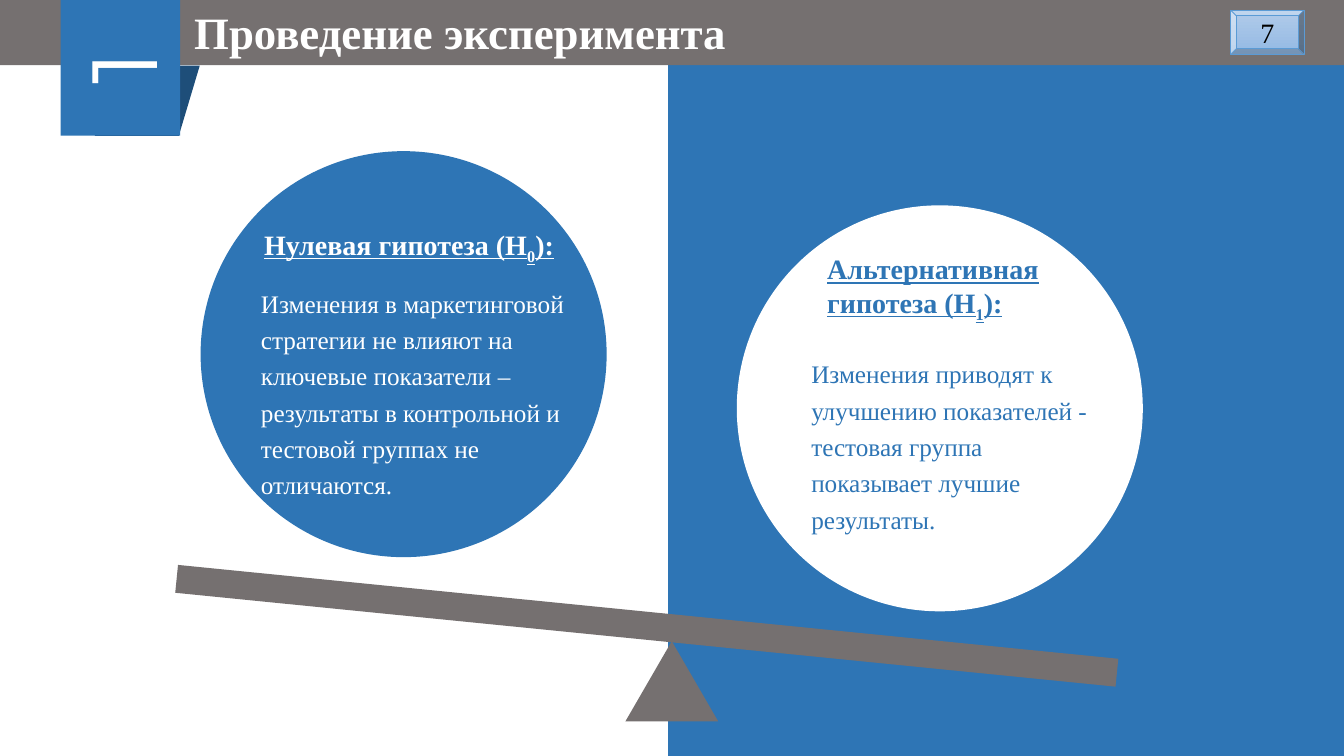
"""Build the slide that weighs the null hypothesis against the alternative one."""
from pptx import Presentation
from pptx.dml.color import RGBColor
from pptx.enum import shapes, text
from pptx.util import Pt

COLORS = {
    "blue": "2E75B5", "navy": "1E4E79", "gray": "757070", "white": "FFFFFF",
    "black": "000000", "light": "B1CBE9", "sky": "93B9E4", "edge": "5B9BD5",
}
SERIF = "Times New Roman"
TILT = 5.7
DIAMETER = 290
KIND = shapes.MSO_SHAPE


def rgb(name):
    return RGBColor.from_string(COLORS[name])


def add_block(s, kind, box, color, rotation=0):
    sp = s.shapes.add_shape(kind, *map(Pt, box))
    sp.shadow.inherit = False
    sp.fill.solid()
    sp.fill.fore_color.rgb = rgb(color)
    sp.line.fill.background()
    sp.rotation = rotation
    return sp


def write(sp, *parts, size, color, font=SERIF, bold=False, underline=False,
          align=text.PP_ALIGN.LEFT, anchor=text.MSO_ANCHOR.TOP, spacing=1.0):
    tf = sp.text_frame
    tf.word_wrap = True
    tf.auto_size = text.MSO_AUTO_SIZE.NONE
    tf.vertical_anchor = anchor
    p = tf.paragraphs[0]
    p.alignment = align
    p.line_spacing = spacing
    for i, part in enumerate(parts):
        r = p.add_run()
        r.text = part
        r.font.name = font
        r.font.size = Pt(size)
        r.font.bold = bold
        r.font.underline = underline
        r.font.color.rgb = rgb(color)
        if i % 2:
            r.font._element.set("baseline", "-25000")


def write_centered(sp, label, **style):
    write(sp, label, align=text.PP_ALIGN.CENTER,
          anchor=text.MSO_ANCHOR.MIDDLE, **style)


def add_text(s, box, *parts, **style):
    write(s.shapes.add_textbox(*map(Pt, box)), *parts, **style)


def add_title(s, box, label):
    sp = s.shapes.title
    sp.left, sp.top, sp.width, sp.height = map(Pt, box)
    write(sp, label, size=32, color="white", bold=True)
    s.shapes.element.append(sp.element)


def add_hypothesis(s, corner, fill, ink, head_box, head, body_box, body):
    add_block(s, KIND.FLOWCHART_CONNECTOR, (*corner, DIAMETER, DIAMETER), fill, TILT)
    add_text(s, body_box, body, size=18, color=ink, spacing=1.2)
    add_text(s, head_box, *head, size=20, color=ink, bold=True, underline=True)


def add_page_button(s, box, number):
    sp = add_block(s, KIND.BEVEL, box, "sky")
    sp.fill.gradient()
    sp.fill.gradient_angle = 270
    for stop, color in zip(sp.fill.gradient_stops, ("light", "sky")):
        stop.color.rgb = rgb(color)
    sp.line.color.rgb = rgb("edge")
    sp.line.width = Pt(0.5)
    write_centered(sp, number, size=20, color="black")


def main():
    prs = Presentation()
    prs.slide_width, prs.slide_height = Pt(960), Pt(540)
    s = prs.slides.add_slide(prs.slide_layouts[5])

    add_block(s, KIND.FLOWCHART_PROCESS, (477.2, 0, 482.8, 540), "blue")
    add_block(s, KIND.RECTANGLE, (0, -0.5, 960, 47), "gray")
    add_block(s, KIND.FLOWCHART_DATA, (67.7, 46.8, 75, 50.2), "navy", 180)
    badge = add_block(s, KIND.RECTANGLE, (37.5, 5.7, 97, 85.5), "blue", 270)
    write_centered(badge, "1", size=66, color="white", font="Montserrat")

    add_block(s, KIND.RECTANGLE, (124.5, 437, 675, 20), "gray", TILT)
    add_block(s, KIND.ISOSCELES_TRIANGLE, (446.7, 458, 66.3, 57.3), "gray")

    add_hypothesis(
        s, (143.3, 108), "blue", "white",
        (181.5, 159, 222.5, 32), ("Нулевая гипотеза (H", "0", "):"),
        (179.3, 198, 245, 162),
        "Изменения в маркетинговой стратегии не влияют на ключевые показатели – "
        "результаты в контрольной и тестовой группах не отличаются.")
    add_hypothesis(
        s, (526.3, 146.7), "white", "blue",
        (583.8, 176.4, 168.5, 57.6), ("Альтернативная гипотеза (H", "1", "):"),
        (572.4, 248.4, 218, 136),
        "Изменения приводят к улучшению показателей - тестовая группа "
        "показывает лучшие результаты.")

    add_title(s, (131.5, 0, 437, 46), "Проведение эксперимента")
    add_page_button(s, (879, 7.2, 52.5, 31.7), "7")
    prs.save("out.pptx")


if __name__ == "__main__":
    main()
